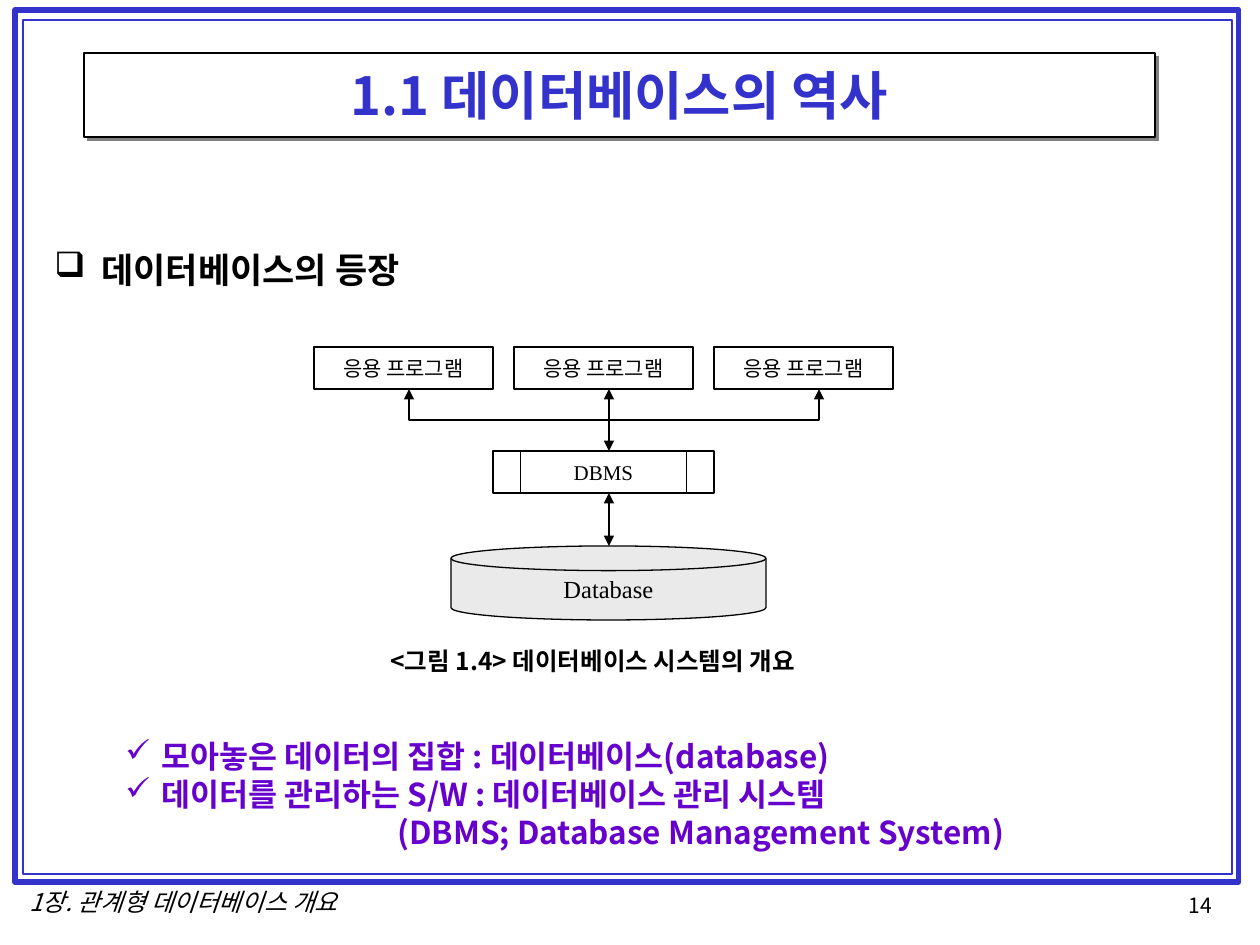
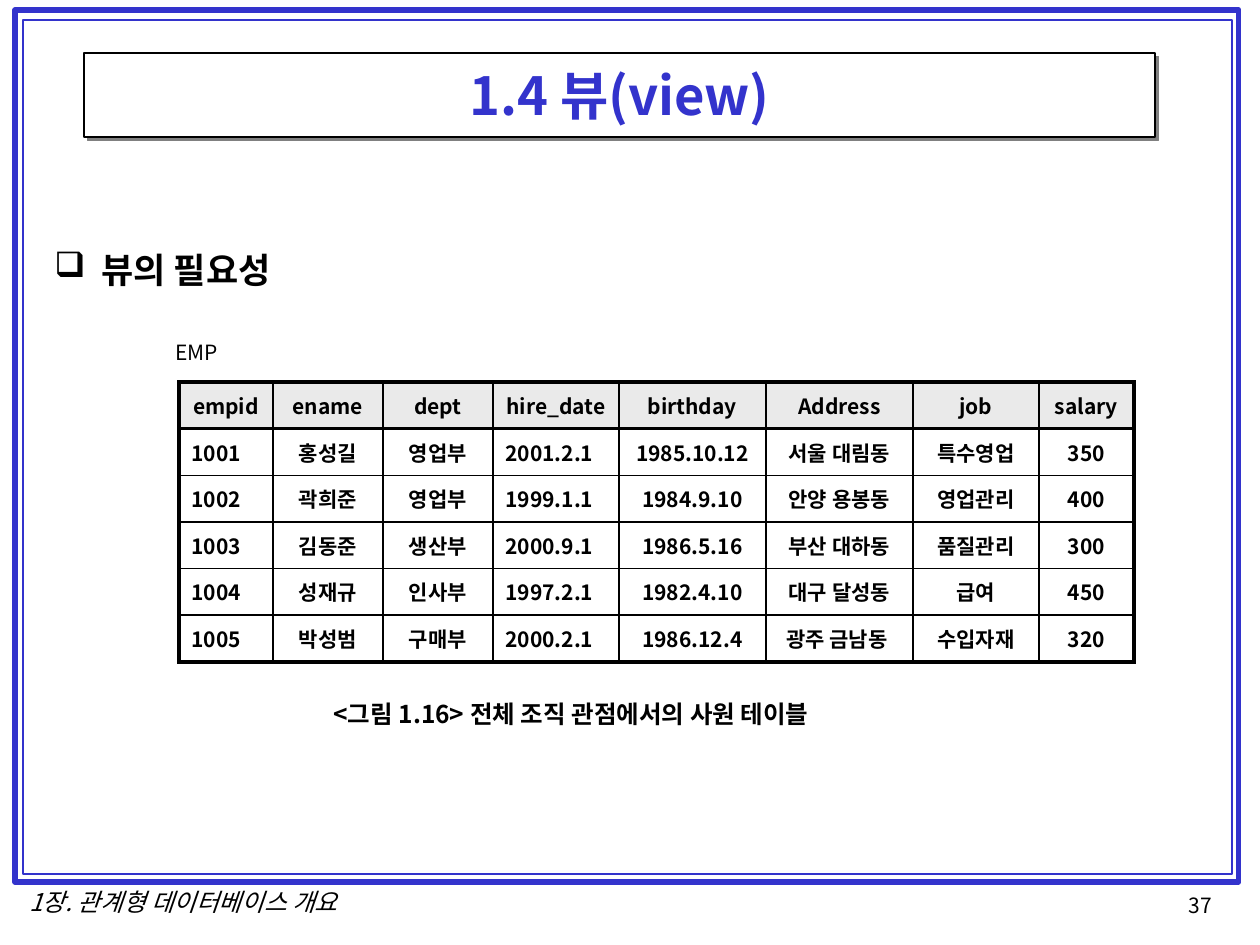
from dataclasses import dataclass

from lxml import etree
from pptx import Presentation
from pptx.dml.color import RGBColor
from pptx.enum.shapes import MSO_CONNECTOR, MSO_SHAPE
from pptx.enum.text import MSO_ANCHOR, MSO_AUTO_SIZE, PP_ALIGN
from pptx.oxml.ns import qn
from pptx.util import Emu, Pt

RECT = MSO_SHAPE.RECTANGLE
PROCESS = MSO_SHAPE.FLOWCHART_PREDEFINED_PROCESS
DISK = MSO_SHAPE.FLOWCHART_MAGNETIC_DISK
STRAIGHT = MSO_CONNECTOR.STRAIGHT
LEFT, CENTER = PP_ALIGN.LEFT, PP_ALIGN.CENTER
TOP, MIDDLE = MSO_ANCHOR.TOP, MSO_ANCHOR.MIDDLE
GROW = MSO_AUTO_SIZE.SHAPE_TO_FIT_TEXT

BLACK = RGBColor(0x00, 0x00, 0x00)
WHITE = RGBColor(0xFF, 0xFF, 0xFF)
BLUE = RGBColor(0x33, 0x33, 0xCC)
PURPLE = RGBColor(0x66, 0x00, 0xCC)
PALE = RGBColor(0xEA, 0xEA, 0xEA)
SHADOW = RGBColor(0x80, 0x80, 0x80)

SANS = "Noto Sans CJK KR"
SERIF = "Times New Roman"
EMU_PER_PX = 914400 / 126
THIN, GRID, HEAVY = 0.75, 1, 2.25
CHAPTER = "1장. 관계형 데이터베이스 개요"


@dataclass(frozen=True)
class Box:
    left: int
    top: int
    width: int
    height: int

    def emu(self) -> tuple:
        return tuple(px(v) for v in (self.left, self.top, self.width, self.height))


@dataclass(frozen=True)
class Line:
    """One paragraph: its text, bullet and hanging margin in px."""
    text: str
    bullet: str = ""
    margin: int = 0


@dataclass(frozen=True)
class Node:
    """One labelled part of the system diagram."""
    kind: int
    box: Box
    label: str
    size: int = 12
    fill: RGBColor | None = WHITE


FRAMES = [(Box(15, 10, 1224, 872), 3), (Box(23, 20, 1209, 854), 1)]
TITLE = Box(84, 53, 1071, 84)
HEADING = Box(42, 242, 1176, 609)
FOOTER = Box(0, 881, 367, 42)
PAGE = Box(1176, 886, 56, 38)

PROGRAM_LEFTS = [314 + 200 * i for i in range(3)]
NODES = [Node(RECT, Box(left, 347, 179, 42), "응용 프로그램") for left in PROGRAM_LEFTS] + [
    Node(PROCESS, Box(493, 451, 221, 42), "DBMS", fill=None),
    Node(DISK, Box(451, 546, 315, 74), "Database", 14, PALE),
]
BRANCH = [(409, 389), (409, 420), (819, 420), (819, 389)]
TRUNK_X = 609
TRUNK_SPANS = [(493, 546), (389, 451)]

DEFINITIONS = [
    Line("모아놓은 데이터의 집합 : 데이터베이스(database)", "✓", 36),
    Line("데이터를 관리하는 S/W : 데이터베이스 관리 시스템", "✓", 36),
    Line("(DBMS; Database Management System)", margin=272),
]

EMP_BOX = Box(179, 382, 955, 280)
EMP_WIDTHS = [94, 110, 110, 126, 147, 147, 126, 95]
EMP_LEFT_COLUMNS = {0, 3}
EMP_ROWS = [
    ["empid", "ename", "dept", "hire_date", "birthday", "Address", "job", "salary"],
    ["1001", "홍성길", "영업부", "2001.2.1", "1985.10.12", "서울 대림동", "특수영업", "350"],
    ["1002", "곽희준", "영업부", "1999.1.1", "1984.9.10", "안양 용봉동", "영업관리", "400"],
    ["1003", "김동준", "생산부", "2000.9.1", "1986.5.16", "부산 대하동", "품질관리", "300"],
    ["1004", "성재규", "인사부", "1997.2.1", "1982.4.10", "대구 달성동", "급여", "450"],
    ["1005", "박성범", "구매부", "2000.2.1", "1986.12.4", "광주 금남동 ", "수입자재", "320"],
]


def px(value: float) -> Emu:
    return Emu(round(value * EMU_PER_PX))


def add_xml(parent, tag: str, **attributes):
    return etree.SubElement(parent, qn(tag), attributes)


# Text

def write(frame, lines: list[Line], *, size: int, color: RGBColor = BLACK, font: str = SANS,
          bold: bool = False, italic: bool = False, align=LEFT) -> None:
    for index, line in enumerate(lines):
        paragraph = frame.paragraphs[0] if index == 0 else frame.add_paragraph()
        paragraph.alignment = align
        if line.margin:
            properties = paragraph._p.get_or_add_pPr()
            properties.set("marL", str(px(line.margin)))
            properties.set("indent", str(px(-line.margin if line.bullet else 0)))
            if line.bullet:
                add_xml(properties, "a:buChar", char=line.bullet)
        run = paragraph.add_run()
        run.text = line.text
        run.font.name = font
        run.font.size = Pt(size)
        run.font.bold = bold
        run.font.italic = italic
        run.font.color.rgb = color
        add_xml(run._r.get_or_add_rPr(), "a:ea", typeface=SANS)


def add_text(slide, box: Box, lines: list[Line], *, wrap: bool = False, **style) -> None:
    frame = slide.shapes.add_textbox(*box.emu()).text_frame
    frame.word_wrap = wrap
    frame.vertical_anchor = TOP
    if not wrap:
        frame.auto_size = GROW
    write(frame, lines, **style)


# Shapes and lines

def paint(shape, fill: RGBColor | None, line: RGBColor, width: float) -> None:
    shape.shadow.inherit = False
    if fill is None:
        shape.fill.background()
    else:
        shape.fill.solid()
        shape.fill.fore_color.rgb = fill
    shape.line.color.rgb = line
    shape.line.width = Pt(width)


def add_box(slide, kind: int, box: Box, *, fill: RGBColor | None = None,
            line: RGBColor = BLACK, width: float = THIN):
    shape = slide.shapes.add_shape(kind, *box.emu())
    paint(shape, fill, line, width)
    shape.text_frame.vertical_anchor = MIDDLE
    return shape


def add_arrowheads(shape) -> None:
    outline = shape.line._get_or_add_ln()
    add_xml(outline, "a:headEnd", type="triangle")
    add_xml(outline, "a:tailEnd", type="triangle")


def add_title_shadow(shape) -> None:
    effects = shape._element.spPr.find(qn("a:effectLst"))
    shadow = add_xml(effects, "a:outerShdw", dist=str(Pt(2.8)), dir="2700000",
                     algn="ctr", rotWithShape="0")
    add_xml(shadow, "a:srgbClr", val=str(SHADOW))


# Shared slide parts

def add_page(deck, title: str, heading: str, number: int):
    slide = deck.slides.add_slide(deck.slide_layouts[6])
    add_text(slide, PAGE, [Line(str(number))], size=12)
    add_text(slide, FOOTER, [Line(CHAPTER)], size=14, italic=True, align=CENTER)
    for box, width in FRAMES:
        add_box(slide, RECT, box, line=BLUE, width=width)
    banner = add_box(slide, RECT, TITLE, fill=WHITE)
    add_title_shadow(banner)
    write(banner.text_frame, [Line(title)], size=30, color=BLUE, bold=True, align=CENTER)
    add_text(slide, HEADING, [Line(heading, "❑", 47)], wrap=True, size=20, bold=True)
    return slide


def add_caption(slide, box: Box, text: str) -> None:
    add_text(slide, box, [Line(text)], size=14, bold=True)


# Database system diagram

def add_diagram(slide) -> None:
    for node in NODES:
        frame = add_box(slide, node.kind, node.box, fill=node.fill).text_frame
        frame.word_wrap = False
        write(frame, [Line(node.label)], size=node.size, font=SERIF, align=CENTER)

    builder = slide.shapes.build_freeform(*BRANCH[0], scale=EMU_PER_PX)
    builder.add_line_segments(BRANCH[1:], close=False)
    branch = builder.convert_to_shape()
    paint(branch, None, BLACK, THIN)
    add_arrowheads(branch)

    for start, end in TRUNK_SPANS:
        trunk = slide.shapes.add_connector(STRAIGHT, px(TRUNK_X), px(start), px(TRUNK_X), px(end))
        trunk.line.color.rgb = BLACK
        trunk.line.width = Pt(THIN)
        add_arrowheads(trunk)
        add_xml(trunk._element.spPr, "a:effectLst")


# Employee table

def add_borders(cell, row: int, column: int) -> None:
    last_row, last_column = len(EMP_ROWS) - 1, len(EMP_WIDTHS) - 1
    heavy_sides = {
        "a:lnL": column == 0,
        "a:lnR": column == last_column,
        "a:lnT": row <= 1,
        "a:lnB": row in (0, last_row),
    }
    properties = cell._tc.get_or_add_tcPr()
    for side, heavy in heavy_sides.items():
        border = add_xml(properties, side, w=str(Pt(HEAVY if heavy else GRID)))
        add_xml(add_xml(border, "a:solidFill"), "a:srgbClr", val=str(BLACK))


def add_employees(slide) -> None:
    table = slide.shapes.add_table(len(EMP_ROWS), len(EMP_WIDTHS), *EMP_BOX.emu()).table
    table.first_row = table.horz_banding = False
    for column, width in zip(table.columns, EMP_WIDTHS):
        column.width = px(width)
    for r, values in enumerate(EMP_ROWS):
        for c, value in enumerate(values):
            cell = table.cell(r, c)
            cell.vertical_anchor = MIDDLE
            add_borders(cell, r, c)
            if r == 0:
                cell.fill.solid()
                cell.fill.fore_color.rgb = PALE
            else:
                cell.fill.background()
            align = LEFT if r and c in EMP_LEFT_COLUMNS else CENTER
            write(cell.text_frame, [Line(value)], size=12, bold=True, align=align)


def main() -> None:
    deck = Presentation()
    deck.slide_width, deck.slide_height = px(1260), px(945)

    history = add_page(deck, "1.1 데이터베이스의 역사", "데이터베이스의 등장", 14)
    add_diagram(history)
    add_text(history, Box(113, 731, 1031, 151), DEFINITIONS, wrap=True,
             size=18, color=PURPLE, bold=True)
    add_caption(history, Box(378, 640, 461, 42), "<그림 1.4> 데이터베이스 시스템의 개요")

    view = add_page(deck, "1.4 뷰(view)", "뷰의 필요성", 37)
    add_employees(view)
    add_text(view, Box(163, 333, 69, 38), [Line("EMP")], size=12)
    add_caption(view, Box(321, 693, 541, 42), "<그림 1.16> 전체 조직 관점에서의 사원 테이블")

    deck.save("out.pptx")


if __name__ == "__main__":
    main()
